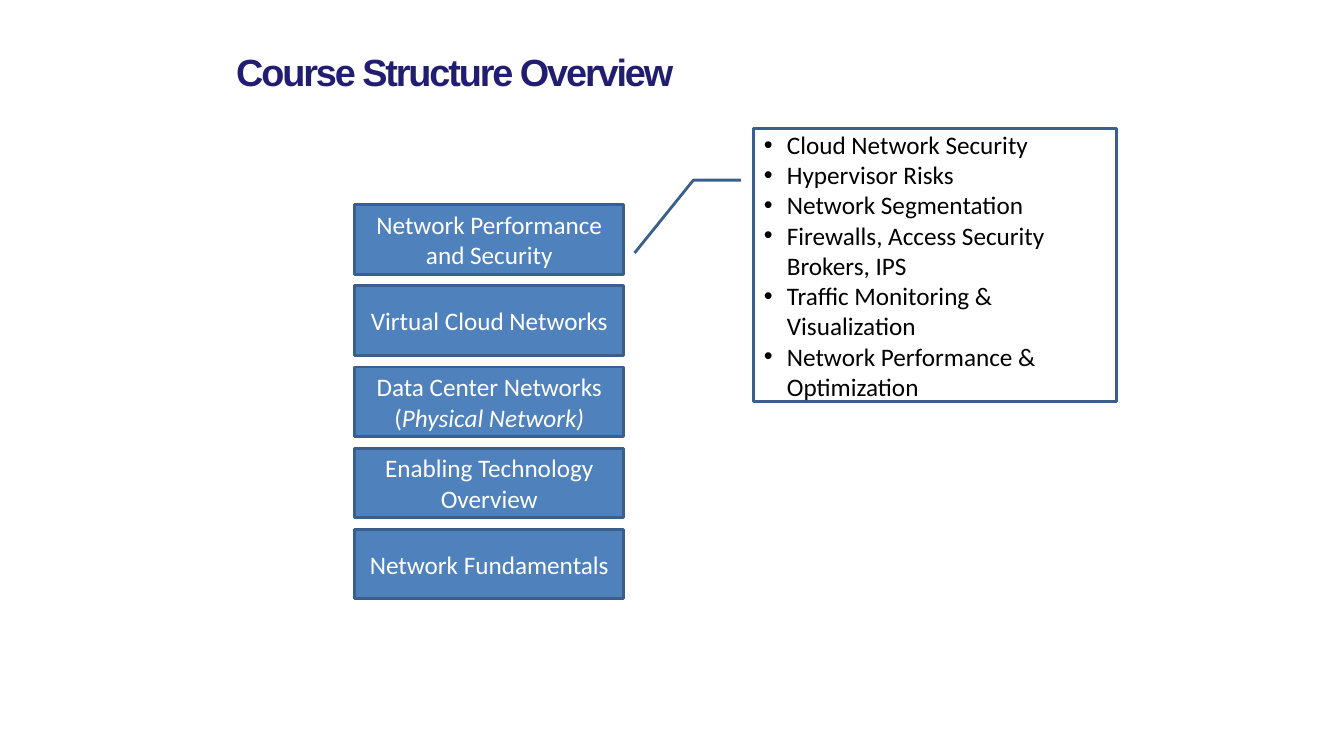
from lxml import etree
from pptx import Presentation
from pptx.dml.color import RGBColor
from pptx.enum.shapes import MSO_SHAPE as Preset
from pptx.enum.text import MSO_ANCHOR as Anchor, MSO_AUTO_SIZE as AutoSize, PP_ALIGN as Align
from pptx.oxml.ns import qn
from pptx.util import Pt

COLORS = {"title": "211D70", "box": "4F81BD", "line": "3A5F8C",
          "light": "FFFFFF", "dark": "000000"}

# Each layer is a list of paragraphs, each paragraph a list of (text, italic) runs
LAYERS = [
    [[("Network Performance and Security", False)]],
    [[("Virtual Cloud Networks", False)]],
    [[("Data Center Networks", False)], [("(", False), ("Physical Network)", True)]],
    [[("Enabling Technology Overview", False)]],
    [[("Network Fundamentals", False)]],
]
TOPICS = [
    "Cloud Network Security",
    "Hypervisor Risks",
    "Network Segmentation",
    "Firewalls, Access Security Brokers, IPS",
    "Traffic Monitoring & Visualization",
    "Network Performance & Optimization",
]
CALLOUT_POINTS = [0.188, -0.036, 0.188, -0.167, 0.455, -0.329]


def rgb(name):
    return RGBColor.from_string(COLORS[name])


def style_run(run, size, font, color, bold=False, italic=False):
    run.font.size = Pt(size)
    run.font.name = font
    run.font.color.rgb = rgb(color)
    run.font.bold = bold
    run.font.italic = italic


def add_outlined(slide, preset, left, top, width, height):
    shape = slide.shapes.add_shape(preset, Pt(left), Pt(top), Pt(width), Pt(height))
    shape.shadow.inherit = False
    shape.line.color.rgb = rgb("line")
    shape.line.width = Pt(2)
    shape.text_frame.word_wrap = True
    shape.text_frame.vertical_anchor = Anchor.MIDDLE
    return shape


def add_bullet(paragraph, indent):
    properties = paragraph._p.get_or_add_pPr()
    properties.set("marL", str(Pt(indent)))
    properties.set("indent", str(-Pt(indent)))
    etree.SubElement(properties, qn("a:buFont")).set("typeface", "Arial")
    etree.SubElement(properties, qn("a:buChar")).set("char", "•")


def place_title(slide, left, top, width, height):
    title = slide.shapes.title
    title.left, title.top, title.width, title.height = map(Pt, (left, top, width, height))
    frame = title.text_frame
    frame.text = "Course Structure Overview"
    frame.auto_size = AutoSize.NONE
    frame.vertical_anchor = Anchor.MIDDLE
    frame.paragraphs[0].alignment = Align.LEFT
    run = frame.paragraphs[0].runs[0]
    style_run(run, 27, "Arial", "title", bold=True)
    run.font._element.set("spc", "-150")


def add_layer_stack(slide, left, top, width, height, gap=8.25):
    box_height = (height - gap * (len(LAYERS) - 1)) / len(LAYERS)
    for index, layer in enumerate(LAYERS):
        box_top = top + index * (box_height + gap)
        box = add_outlined(slide, Preset.RECTANGLE, left, box_top, width, box_height)
        box.fill.solid()
        box.fill.fore_color.rgb = rgb("box")
        frame = box.text_frame
        for number, parts in enumerate(layer):
            paragraph = frame.add_paragraph() if number else frame.paragraphs[0]
            paragraph.alignment = Align.CENTER
            for text, italic in parts:
                run = paragraph.add_run()
                run.text = text
                style_run(run, 18, "Calibri", "light", italic=italic)


def add_topic_callout(slide, left, top, width, height):
    callout = add_outlined(slide, Preset.LINE_CALLOUT_2, left, top, width, height)
    callout.fill.background()
    for index, value in enumerate(CALLOUT_POINTS):
        callout.adjustments[index] = value
    frame = callout.text_frame
    frame.text = "\n".join(TOPICS)
    for paragraph in frame.paragraphs:
        paragraph.alignment = Align.LEFT
        add_bullet(paragraph, 16.5)
        style_run(paragraph.runs[0], 18, "Calibri", "dark")


def main():
    presentation = Presentation()
    presentation.slide_width, presentation.slide_height = Pt(960), Pt(540)
    slide = presentation.slides.add_slide(presentation.slide_layouts[5])  # title only

    # Heading, stacked course layers, topics of the top layer
    place_title(slide, 161.5, 18, 638, 65.5)
    add_layer_stack(slide, 253.5, 146.25, 192, 281.5)
    add_topic_callout(slide, 538.5, 92, 259, 195)

    presentation.save("out.pptx")


if __name__ == "__main__":
    main()
